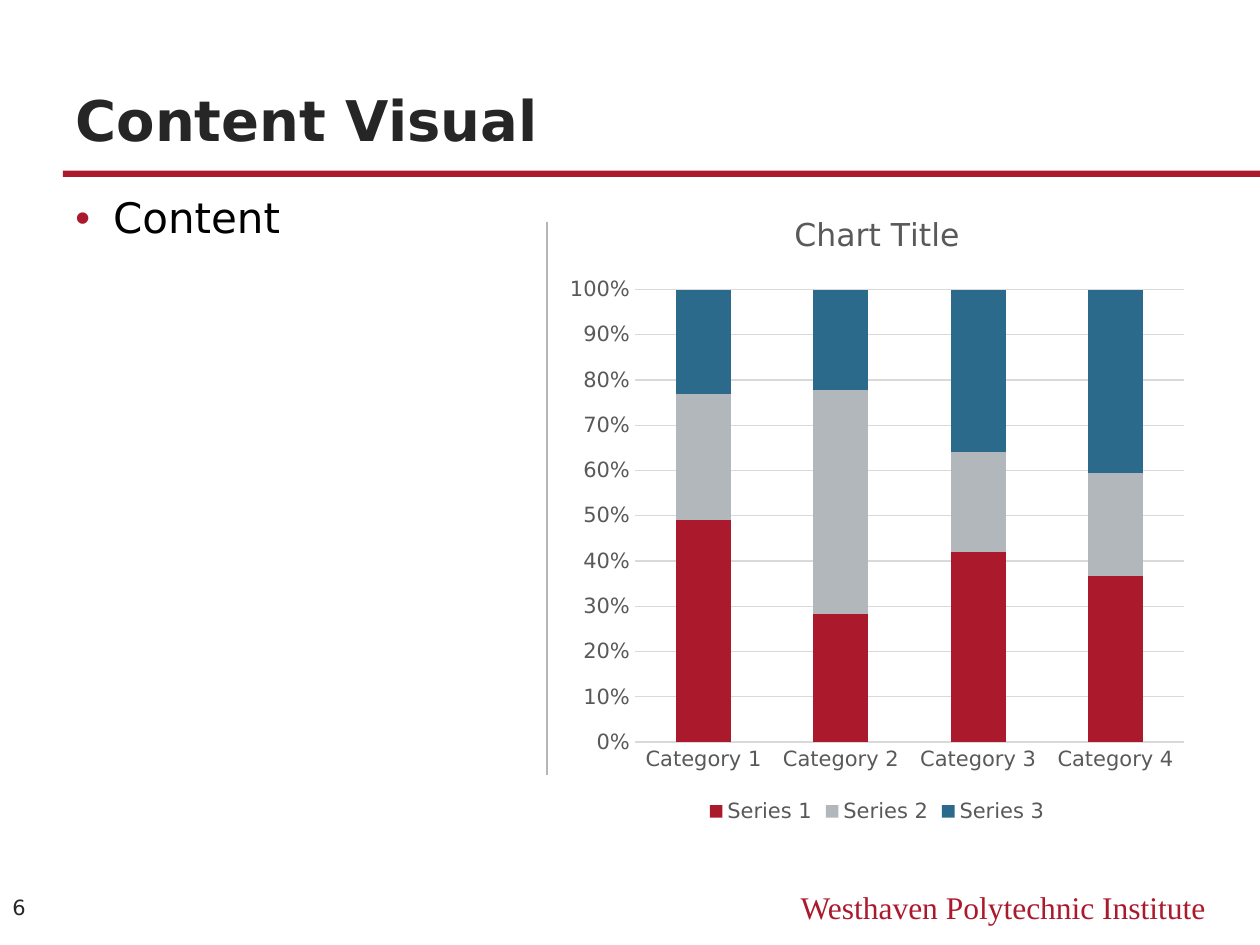
from collections import namedtuple
from dataclasses import dataclass

from lxml import etree
from pptx import Presentation
from pptx import util as u
from pptx.chart import data as chart_data
from pptx.dml.color import RGBColor
from pptx.enum import chart as charts, shapes, text
from pptx.oxml import ns

Box = namedtuple("Box", "left top width height")


@dataclass(frozen=True)
class Theme:
    sans: str = "DejaVu Sans"
    serif: str = "Times New Roman"
    crimson: str = "AB192D"
    silver: str = "B2B7BB"
    blue: str = "2C6A8C"
    ink: str = "262626"
    black: str = "000000"
    label: str = "595959"
    grid: str = "D9D9D9"
    divider: str = "B6B6B6"
    title_size: int = 32
    body_size: int = 24
    heading_size: int = 18
    small_size: int = 12


THEME = Theme()


def rgb(value):
    return RGBColor.from_string(value)


def style_font(font, size, color, name=THEME.sans, bold=False):
    font.name, font.size, font.bold = name, u.Pt(size), bold
    font.color.rgb = rgb(color)


def lengths(box):
    return [u.Cm(value) for value in box]


def set_text(shape, words, size, color, name=THEME.sans, bold=False,
             align=text.PP_ALIGN.LEFT, anchor=text.MSO_ANCHOR.TOP):
    """Fill a shape with one styled paragraph and return it."""
    frame = shape.text_frame
    frame.text = words
    frame.word_wrap = True
    frame.auto_size = text.MSO_AUTO_SIZE.NONE
    frame.vertical_anchor = anchor
    para = frame.paragraphs[0]
    para.alignment = align
    style_font(para.runs[0].font, size, color, name, bold)
    return para


def add_bullet(para, color, indent):
    props = para._p.get_or_add_pPr()
    props.set("marL", str(u.Cm(indent)))
    props.set("indent", str(-u.Cm(indent)))
    bullet_color = etree.SubElement(props, ns.qn("a:buClr"))
    etree.SubElement(bullet_color, ns.qn("a:srgbClr"), val=color)
    etree.SubElement(props, ns.qn("a:buFont"), typeface="Arial")
    etree.SubElement(props, ns.qn("a:buChar"), char="•")


def add_header(page, box):
    """Title with a rule below it that runs to the right edge."""
    title = page.shapes.title
    title.left, title.top, title.width, title.height = lengths(box)
    set_text(title, "Content Visual", THEME.title_size, THEME.ink, bold=True,
             anchor=text.MSO_ANCHOR.BOTTOM)
    rule_box = Box(box.left, box.top + box.height + 0.23, 25.4 - box.left, 0.13)
    rule = page.shapes.add_shape(shapes.MSO_SHAPE.RECTANGLE, *lengths(rule_box))
    rule.fill.solid()
    rule.fill.fore_color.rgb = rgb(THEME.crimson)
    rule.line.fill.background()
    rule.shadow.inherit = False


def add_content(page, box):
    """Bulleted text with a divider to its right."""
    body = page.shapes.add_textbox(*lengths(box))
    para = set_text(body, "Content", THEME.body_size, THEME.black)
    para.line_spacing = 0.95
    para.space_before = u.Pt(12)
    add_bullet(para, THEME.crimson, 0.76)

    x = u.Cm(box.left + box.width + 0.2)
    divider = page.shapes.add_connector(
        shapes.MSO_CONNECTOR.STRAIGHT, x, u.Cm(box.top + 0.66),
        x, u.Cm(box.top + box.height - 1.09))
    divider.line.color.rgb = rgb(THEME.divider)
    divider.line.width = u.Pt(1.25)
    etree.SubElement(divider._element.spPr, ns.qn("a:effectLst"))


def style_axis(axis):
    axis.major_tick_mark = axis.minor_tick_mark = charts.XL_TICK_MARK.NONE
    style_font(axis.tick_labels.font, THEME.small_size, THEME.label)


def style_line(line):
    line.color.rgb = rgb(THEME.grid)
    line.width = u.Pt(0.75)


def add_share_chart(page, box):
    series_data = [("Series 1", (49, 28, 42, 37), THEME.crimson),
                   ("Series 2", (28, 49, 22, 23), THEME.silver),
                   ("Series 3", (23, 22, 36, 41), THEME.blue)]
    data = chart_data.CategoryChartData()
    data.categories = [f"Category {number}" for number in range(1, 5)]
    for name, values, _ in series_data:
        data.add_series(name, values)
    chart = page.shapes.add_chart(
        charts.XL_CHART_TYPE.COLUMN_STACKED_100, *lengths(box), data).chart
    style_font(chart.font, THEME.small_size, THEME.label)

    chart.has_title = True
    heading = chart.chart_title.text_frame
    heading.text = "Chart Title"
    style_font(heading.paragraphs[0].runs[0].font, THEME.heading_size, THEME.label)
    chart.chart_title.include_in_layout = False

    plot = chart.plots[0]
    plot.gap_width, plot.overlap, plot.vary_by_categories = 150, 100, False
    for series, (_, _, color) in zip(plot.series, series_data):
        series.format.fill.solid()
        series.format.fill.fore_color.rgb = rgb(color)

    style_axis(chart.category_axis)
    style_line(chart.category_axis.format.line)
    values = chart.value_axis
    style_axis(values)
    values.format.line.fill.background()
    values.minimum_scale, values.maximum_scale, values.major_unit = 0, 1, 0.1
    values.tick_labels.number_format = "0%"
    values.tick_labels.number_format_is_linked = False
    values.has_major_gridlines = True
    style_line(values.major_gridlines.format.line)

    chart.has_legend = True
    chart.legend.position = charts.XL_LEGEND_POSITION.BOTTOM
    chart.legend.include_in_layout = False
    style_font(chart.legend.font, THEME.small_size, THEME.label)


def add_footer(page, box):
    """Page number on the left, institution name on the right."""
    number = page.shapes.add_textbox(*lengths(Box(box.left, box.top, 1.27, box.height)))
    set_text(number, "6", THEME.small_size, THEME.ink, anchor=text.MSO_ANCHOR.MIDDLE)
    name_width = 9.32
    name_box = Box(box.left + box.width - name_width, box.top + 0.03, name_width, 1.02)
    name = page.shapes.add_textbox(*lengths(name_box))
    set_text(name, "Westhaven Polytechnic Institute", THEME.heading_size,
             THEME.crimson, THEME.serif, align=text.PP_ALIGN.RIGHT)


def main():
    deck = Presentation()
    deck.slide_width, deck.slide_height = u.Cm(25.4), u.Cm(19.05)
    page = deck.slides.add_slide(deck.slide_layouts[5])
    add_header(page, Box(1.27, 0.97, 22.86, 2.24))
    add_content(page, Box(1.27, 3.81, 9.55, 12.9))
    add_share_chart(page, Box(11.23, 3.81, 12.9, 12.9))
    add_footer(page, Box(0, 17.75, 24.56, 1.09))
    deck.save("out.pptx")


if __name__ == "__main__":
    main()
